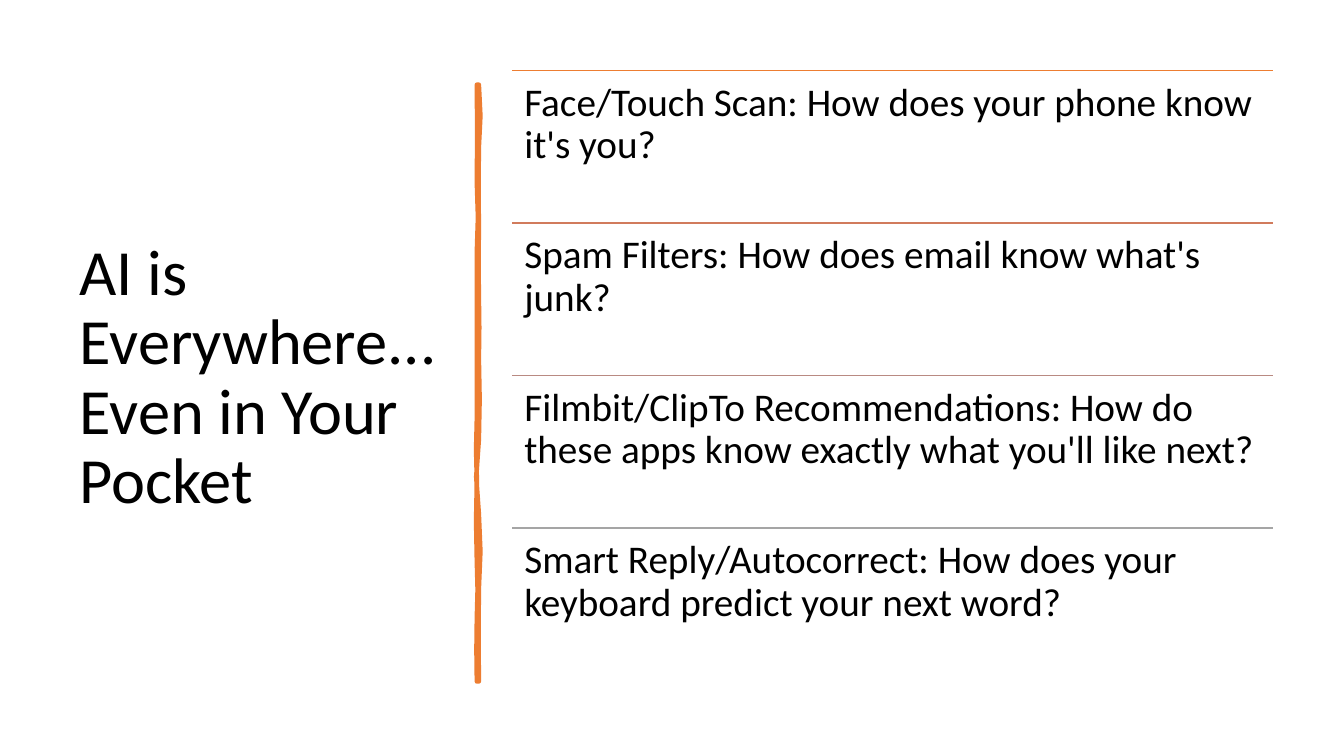
"""Build a slide about everyday uses of AI."""
from lxml import etree
from pptx import Presentation
from pptx.dml.color import RGBColor
from pptx.enum.shapes import MSO_CONNECTOR
from pptx.enum.text import MSO_ANCHOR, PP_ALIGN
from pptx.oxml.ns import qn
from pptx.util import Inches, Pt

STRAIGHT = MSO_CONNECTOR.STRAIGHT
TOP, MIDDLE = MSO_ANCHOR.TOP, MSO_ANCHOR.MIDDLE
LEFT = PP_ALIGN.LEFT
BLACK = RGBColor(0x00, 0x00, 0x00)
ORANGE = RGBColor(0xED, 0x7D, 0x31)
CLAY = RGBColor(0xD1, 0x7B, 0x5C)
MAUVE = RGBColor(0xB9, 0x8A, 0x82)
GRAY = RGBColor(0xA5, 0xA5, 0xA5)
FONT = "Calibri"

TITLE = "AI is Everywhere... Even in Your Pocket"
QUESTIONS = [
    ("Face/Touch Scan: How does your phone know it's you?", ORANGE),
    ("Spam Filters: How does email know what's junk?", CLAY),
    ("Filmbit/ClipTo Recommendations: How do these apps know "
     "exactly what you'll like next?", MAUVE),
    ("Smart Reply/Autocorrect: How does your keyboard predict "
     "your next word?", GRAY),
]
LIST_LEFT, LIST_TOP, LIST_WIDTH, LIST_HEIGHT = 5.08, 0.7, 7.55, 6.05
ROW_HEIGHT = LIST_HEIGHT / len(QUESTIONS)

BRUSH_START = (4.75, 0.84)
BRUSH_CURVES = [
    (4.77, 4.77, 4.75, 1.46), (4.73, 4.76, 4.75, 2.26),
    (4.74, 4.75, 4.75, 2.94), (4.74, 4.77, 4.75, 3.56),
    (4.73, 4.79, 4.75, 4.36), (4.71, 4.72, 4.75, 5.1),
    (4.77, 4.77, 4.75, 5.84), (4.73, 4.76, 4.75, 6.76),
    (4.74, 4.73, 4.73, 6.76), (4.74, 4.71, 4.73, 6.13),
    (4.74, 4.74, 4.73, 5.57), (4.72, 4.72, 4.73, 4.77),
    (4.73, 4.71, 4.73, 4.15), (4.74, 4.72, 4.73, 3.35),
    (4.74, 4.72, 4.73, 2.5), (4.74, 4.75, 4.73, 1.81),
    (4.7, 4.77, 4.73, 0.84),
]
STEPS = 2


def set_text(tf, text, size, anchor):
    """Fill a text frame with one left-aligned paragraph."""
    tf.word_wrap = True
    tf.vertical_anchor = anchor
    tf.text = text
    p = tf.paragraphs[0]
    p.alignment = LEFT
    p.line_spacing = 0.9
    p.font.name = FONT
    p.font.size = Pt(size)
    p.font.color.rgb = BLACK


def add_title(s):
    """Place the title in the left column."""
    sp = s.shapes.title
    sp.left, sp.top = Inches(0.69), Inches(0.7)
    sp.width, sp.height = Inches(3.74), Inches(6.11)
    set_text(sp.text_frame, TITLE, 46, MIDDLE)


def brush_points():
    """Return points along the wavy outline of the brush stroke."""
    points = []
    x0, y0 = BRUSH_START
    for c1, c2, x1, y1 in BRUSH_CURVES:
        for step in range(1, STEPS + 1):
            t = step / STEPS
            u = 1 - t
            x = u**3 * x0 + 3 * u * u * t * c1 + 3 * u * t * t * c2 + t**3 * x1
            points.append((Inches(x), Inches(y0 + t * (y1 - y0))))
        x0, y0 = x1, y1
    return points


def add_brush_stroke(s):
    """Draw the vertical hand-drawn divider."""
    x, y = BRUSH_START
    builder = s.shapes.build_freeform(Inches(x), Inches(y))
    builder.add_line_segments(brush_points(), close=True)
    sp = builder.convert_to_shape()
    sp.shadow.inherit = False
    sp.fill.solid()
    sp.fill.fore_color.rgb = ORANGE
    sp.line.color.rgb = ORANGE
    sp.line.width = Pt(3.25)


def add_rule(s, top, color):
    """Draw the thin line above a question."""
    line = s.shapes.add_connector(
        STRAIGHT, Inches(LIST_LEFT), Inches(top),
        Inches(LIST_LEFT + LIST_WIDTH), Inches(top))
    line.line.color.rgb = color
    line.line.width = Pt(1)
    etree.SubElement(line._element.spPr, qn("a:effectLst"))


def add_question(s, top, text):
    """Add one question under its line."""
    sp = s.shapes.add_textbox(Inches(LIST_LEFT), Inches(top),
                              Inches(LIST_WIDTH), Inches(ROW_HEIGHT))
    tf = sp.text_frame
    tf.margin_left = tf.margin_right = Inches(0.12)
    tf.margin_top = tf.margin_bottom = Inches(0.12)
    set_text(tf, text, 28, TOP)


def main():
    """Build and save the slide."""
    prs = Presentation()
    prs.slide_width, prs.slide_height = Inches(13.33), Inches(7.5)
    s = prs.slides.add_slide(prs.slide_layouts[5])
    add_title(s)
    add_brush_stroke(s)
    for i, (text, color) in enumerate(QUESTIONS):
        top = LIST_TOP + i * ROW_HEIGHT
        add_rule(s, top, color)
        add_question(s, top, text)
    prs.save("out.pptx")


if __name__ == "__main__":
    main()
